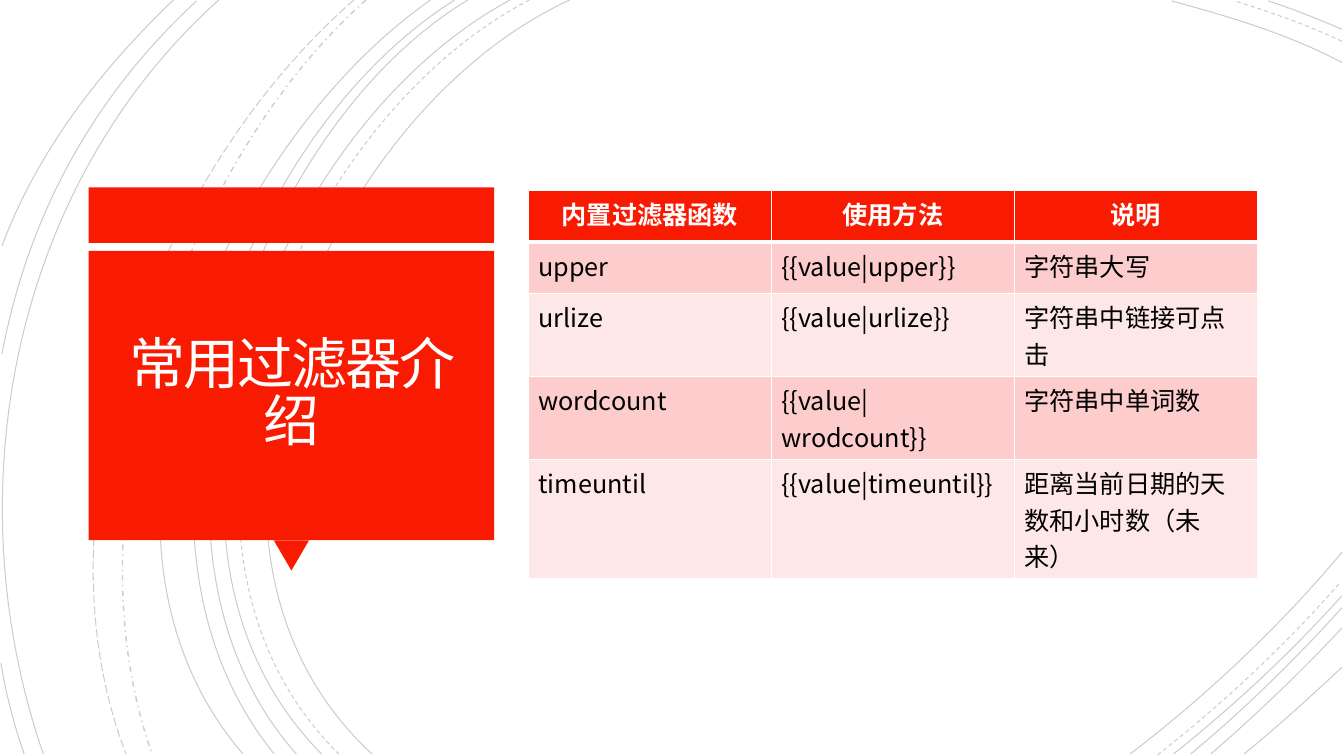
from pptx import Presentation
from pptx import util as u
from pptx.dml.color import RGBColor
from pptx.enum import dml, shapes, text
from pptx.oxml import parse_xml
from pptx.oxml.ns import nsdecls, qn

FONT = "Noto Sans CJK SC"
RED, WHITE, BLACK = "F81B02", "FFFFFF", "000000"
BANDS = ["FCCDCC", "FEE8E7"]
SOLID, DASH = dml.MSO_LINE.SOLID, dml.MSO_LINE.DASH
ARCS = [
    ((5.65, 0), (3.15, 1.15), (1.43, 5.4), (3.69, 7.48), SOLID),
    ((13.31, 0.62), (12.78, 0.34), (12.18, 0.16), (11.62, 0.01), SOLID),
    ((11.21, 7.48), (11.97, 6.9), (12.69, 6.22), (13.31, 5.48), SOLID),
    ((5.25, 0), (2.85, 1.25), (1.23, 5.37), (3.36, 7.48), DASH),
    ((13.31, 0.41), (12.97, 0.25), (12.6, 0.12), (12.25, 0.01), DASH),
    ((11.48, 7.49), (12.13, 6.98), (12.75, 6.4), (13.3, 5.77), DASH),
    ((5.06, 0), (2.7, 1.27), (1.1, 5.37), (3.19, 7.48), SOLID),
    ((13.31, 0.29), (13.07, 0.19), (12.83, 0.09), (12.58, 0.01), SOLID),
    ((11.64, 7.48), (12.23, 7.01), (12.8, 6.48), (13.31, 5.91), SOLID),
    ((4.64, 0), (2.44, 1.33), (1.1, 5.41), (2.94, 7.48), SOLID),
    ((11.81, 7.48), (12.34, 7.04), (12.84, 6.55), (13.31, 6.03), SOLID),
    ((4.51, 0), (2.31, 1.38), (0.97, 5.33), (2.72, 7.48), SOLID),
    ((12.01, 7.48), (12.46, 7.09), (12.9, 6.67), (13.31, 6.23), SOLID),
    ((4.27, 0), (2.17, 1.47), (0.53, 5.29), (2.41, 7.48), SOLID),
    ((12.34, 7.48), (12.67, 7.21), (12.99, 6.92), (13.31, 6.62), SOLID),
    ((3.63, 0), (1.76, 1.66), (0.65, 5.09), (1.51, 7.48), dml.MSO_LINE.DASH_DOT),
    ((3.51, 0), (1.57, 1.69), (0.29, 4.99), (1.25, 7.48), dml.MSO_LINE.LONG_DASH),
    ((2.17, 0), (0.11, 1.85), (-0.46, 4.9), (0.43, 7.48), SOLID),
    ((1.95, 0.01), (0.92, 0.96), (0.28, 2.14), (0.02, 3.51), SOLID),
    ((0.01, 6.58), (0.06, 6.89), (0.14, 7.19), (0.24, 7.48), SOLID),
    ((1.72, 0), (1, 0.69), (0.37, 1.5), (0.02, 2.44), SOLID),
]
ROWS = [
    ("内置过滤器函数", "使用方法", "说明"),
    ("upper", "{{value|upper}}", "字符串大写"),
    ("urlize", "{{value|urlize}}", "字符串中链接可点击"),
    ("wordcount", "{{value|wrodcount}}", "字符串中单词数"),
    ("timeuntil", "{{value|timeuntil}}", "距离当前日期的天数和小时数（未来）"),
]


def paint(part, color):
    part.solid()
    part.fore_color.rgb = RGBColor.from_string(color)


def style(run, size, color, bold=False):
    font = run.font
    font.size, font.bold, font.name = u.Pt(size), bold, FONT
    paint(font.fill, color)
    props = run._r.get_or_add_rPr()
    props.append(parse_xml(f'<a:ea {nsdecls("a")} typeface="{FONT}"/>'))


def bend(shape):
    lines = list(shape._element.iter(qn("a:lnTo")))
    curve = parse_xml(f'<a:cubicBezTo {nsdecls("a")}/>')
    lines[0].addprevious(curve)
    for line in lines:
        curve.append(line[0])
        line.getparent().remove(line)


def draw_arcs(slide, left, top):
    for *ends, dash in ARCS:
        dots = [(left + u.Inches(x), top + u.Inches(y)) for x, y in ends]
        pen = slide.shapes.build_freeform(*dots[0], scale=1.0)
        pen.add_line_segments(dots[1:], close=False)
        arc = pen.convert_to_shape()
        bend(arc)
        arc.shadow.inherit = False
        arc.fill.background()
        paint(arc.line.fill, BLACK)
        arc.line.width = u.Pt(1 if dash == dml.MSO_LINE.DASH_DOT else 0.75)
        arc.line.dash_style = dash
        tint = arc.line._ln.find(".//" + qn("a:srgbClr"))
        tint.append(parse_xml(f'<a:alpha {nsdecls("a")} val="20000"/>'))


def add_block(slide, kind, *box):
    block = slide.shapes.add_shape(kind, *box)
    block.shadow.inherit = False
    paint(block.fill, RED)
    block.line.fill.background()
    return block


def draw_title(slide, left, top, width, height):
    rect = shapes.MSO_SHAPE.RECTANGLE
    band, gap = u.Inches(0.55), u.Inches(0.08)
    tip, drop = u.Inches(0.35), u.Inches(0.3)
    head = top + band + gap
    body = height - band - gap - drop
    add_block(slide, rect, left, top, width, band)
    point = add_block(slide, shapes.MSO_SHAPE.ISOSCELES_TRIANGLE,
                      left + (width - tip) // 2, head + body, tip, drop)
    point.rotation = 180
    add_block(slide, rect, left, head, width, body)

    title = slide.shapes.title
    pad = u.Inches(0.09)
    title.left, title.top = left + pad, head + pad
    title.width, title.height = width - 2 * pad, body - 2 * pad
    title.element.getparent().append(title.element)
    frame = title.text_frame
    frame.text = "常用过滤器介绍"
    frame.word_wrap = True
    frame.auto_size = text.MSO_AUTO_SIZE.NONE
    frame.vertical_anchor = text.MSO_ANCHOR.MIDDLE
    inset = u.Inches(0.25)
    frame.margin_left = frame.margin_right = inset
    frame.margin_top = frame.margin_bottom = inset
    para = frame.paragraphs[0]
    para.alignment = text.PP_ALIGN.CENTER
    para.line_spacing = 0.85
    style(para.runs[0], 40, "FFFEFF")
    para.runs[0]._r.get_or_add_rPr().set("spc", "-150")


def edge(cell, row):
    props = cell._tc.get_or_add_tcPr()
    sizes = {"L": 1, "R": 1, "T": 3 if row == 1 else 1, "B": 3 if row == 0 else 1}
    for spot, (side, size) in enumerate(sizes.items()):
        props.insert(spot, parse_xml(
            f'<a:ln{side} {nsdecls("a")} w="{u.Pt(size)}"><a:solidFill>'
            f'<a:srgbClr val="{WHITE}"/></a:solidFill></a:ln{side}>'))


def draw_table(slide, left, top, width, height):
    table = slide.shapes.add_table(len(ROWS), len(ROWS[0]), left, top, width, height).table
    for i, words in enumerate(ROWS):
        for j, word in enumerate(words):
            cell = table.cell(i, j)
            cell.text = word
            para = cell.text_frame.paragraphs[0]
            if i == 0:
                para.alignment = text.PP_ALIGN.CENTER
            style(para.runs[0], 18, BLACK if i else WHITE, i == 0)
            paint(cell.fill, BANDS[(i - 1) % 2] if i else RED)
            edge(cell, i)


def main():
    deck = Presentation()
    deck.slide_width, deck.slide_height = u.Inches(13.33), u.Inches(7.5)
    slide = deck.slides.add_slide(deck.slide_layouts[5])
    paint(slide.background.fill, WHITE)
    draw_arcs(slide, 0, 0)
    draw_title(slide, *map(u.Inches, (0.88, 1.86, 4.02, 3.8)))
    draw_table(slide, *map(u.Inches, (5.24, 1.89, 7.23, 2.55)))
    deck.save("out.pptx")


if __name__ == "__main__":
    main()
